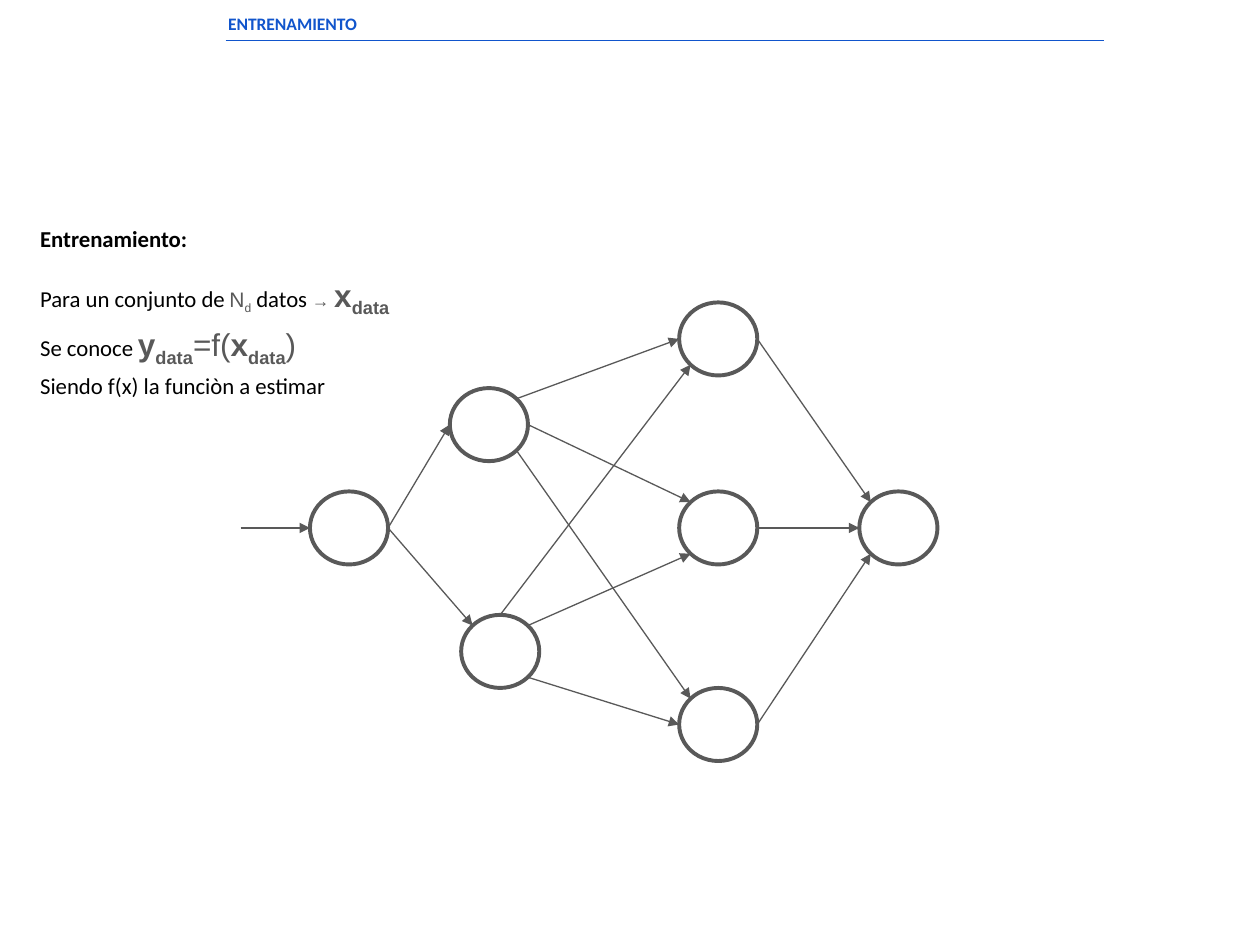
from dataclasses import dataclass
import math

import lxml.etree
import pptx
import pptx.dml.color
import pptx.enum.shapes
import pptx.enum.text
import pptx.oxml.ns
import pptx.util

Inches = pptx.util.Inches
Pt = pptx.util.Pt
RGBColor = pptx.dml.color.RGBColor
qn = pptx.oxml.ns.qn

BLACK = RGBColor(0x00, 0x00, 0x00)
GRAY = RGBColor(0x59, 0x59, 0x59)
BLUE = RGBColor(0x11, 0x55, 0xCC)

NODE_WIDTH, NODE_HEIGHT = 0.62, 0.58

# Where an arrow meets a node, in degrees clockwise from the right side
ANGLES = {"right": 0, "lower right": 45, "left": 180, "upper left": 225,
          "lower left": 135, "top": 270, "upper right": 315}


@dataclass(frozen=True)
class Neuron:
    left: float
    top: float

    def point(self, side: str) -> tuple[float, float]:
        angle = math.radians(ANGLES[side])
        return (self.left + NODE_WIDTH / 2 * (1 + math.cos(angle)),
                self.top + NODE_HEIGHT / 2 * (1 + math.sin(angle)))


@dataclass(frozen=True)
class Synapse:
    source: str
    source_side: str
    target: str
    target_side: str


@dataclass(frozen=True)
class Style:
    size: int
    name: str = "Arial"
    color: RGBColor = GRAY
    bold: bool = False
    subscript: bool = False


PROSE = Style(13, "Calibri", BLACK)
HEADING = Style(13, "Calibri", BLACK, bold=True)
TITLE = Style(10, "Calibri", BLUE, bold=True)
SMALL = Style(10)
COUNT = Style(12)
COUNT_INDEX = Style(12, subscript=True)
FORMULA = Style(18)
VECTOR = Style(18, bold=True)
VECTOR_INDEX = Style(18, bold=True, subscript=True)

NEURONS = {
    "input": Neuron(2.46, 3.9),
    "first upper": Neuron(3.57, 3.08),
    "first lower": Neuron(3.66, 4.88),
    "second upper": Neuron(5.39, 2.4),
    "second middle": Neuron(5.39, 3.9),
    "second lower": Neuron(5.39, 5.46),
    "output": Neuron(6.82, 3.9),
}

SYNAPSES = [
    Synapse("input", "right", "first upper", "left"),
    Synapse("input", "right", "first lower", "upper left"),
    Synapse("first upper", "upper right", "second upper", "left"),
    Synapse("first upper", "right", "second middle", "upper left"),
    Synapse("first upper", "lower right", "second lower", "upper left"),
    Synapse("first lower", "top", "second upper", "lower left"),
    Synapse("first lower", "upper right", "second middle", "lower left"),
    Synapse("first lower", "lower right", "second lower", "left"),
    Synapse("second upper", "right", "output", "upper left"),
    Synapse("second middle", "right", "output", "left"),
    Synapse("second lower", "right", "output", "lower left"),
]

EXPLANATION = [
    [("Entrenamiento:", HEADING)],
    [("Para un conjunto de", PROSE), (" ", SMALL), ("N", COUNT), ("d", COUNT_INDEX),
     (" ", SMALL), ("datos", PROSE), (" → ", SMALL), ("x", VECTOR),
     ("data", VECTOR_INDEX)],
    [("Se conoce", PROSE), (" ", SMALL), ("y", VECTOR), ("data", VECTOR_INDEX),
     ("=f(", FORMULA), ("x", VECTOR), ("data", VECTOR_INDEX), (")", FORMULA)],
    [("Siendo f(x) la funciòn a estimar", PROSE)],
]


def apply_style(font, style: Style) -> None:
    font.size = Pt(style.size)
    font.name = style.name
    font.bold = style.bold
    font.color.rgb = style.color


def set_insets(frame) -> None:
    frame.margin_left = frame.margin_right = Inches(0.1)
    frame.margin_top = frame.margin_bottom = Inches(0.1)
    frame.vertical_anchor = pptx.enum.text.MSO_ANCHOR.TOP
    frame.word_wrap = True


def draw_line(slide, start: tuple[float, float], end: tuple[float, float],
              color: RGBColor, arrow: bool = True) -> None:
    line = slide.shapes.add_connector(
        pptx.enum.shapes.MSO_CONNECTOR.STRAIGHT,
        *(Inches(value) for value in (*start, *end)))
    line.line.color.rgb = color
    line.line.width = Pt(0.75)
    if arrow:
        lxml.etree.SubElement(line.line._get_or_add_ln(), qn("a:tailEnd"), type="triangle")
    lxml.etree.SubElement(line._element.spPr, qn("a:effectLst"))


def draw_neuron(slide, neuron: Neuron) -> None:
    circle = slide.shapes.add_shape(
        pptx.enum.shapes.MSO_SHAPE.OVAL, Inches(neuron.left), Inches(neuron.top),
        Inches(NODE_WIDTH), Inches(NODE_HEIGHT))
    circle.shadow.inherit = False
    circle.fill.background()
    circle.line.color.rgb = GRAY
    circle.line.width = Pt(2.25)


def write_title(slide) -> None:
    title = slide.shapes.title
    title.left, title.top = Inches(1.71), Inches(0)
    title.width, title.height = Inches(6.89), Inches(0.39)
    frame = title.text_frame
    frame.text = "ENTRENAMIENTO"
    set_insets(frame)
    frame.auto_size = pptx.enum.text.MSO_AUTO_SIZE.NONE
    frame.paragraphs[0].alignment = pptx.enum.text.PP_ALIGN.LEFT
    apply_style(frame.paragraphs[0].font, TITLE)


def write_explanation(slide) -> None:
    frame = slide.shapes.add_textbox(
        Inches(0.22), Inches(1.68), Inches(3.92), Inches(1.32)).text_frame
    set_insets(frame)
    frame.auto_size = pptx.enum.text.MSO_AUTO_SIZE.SHAPE_TO_FIT_TEXT
    for index, pieces in enumerate(EXPLANATION):
        paragraph = frame.add_paragraph() if index else frame.paragraphs[0]
        if index:
            paragraph.line_spacing = 1.15
        if index == 1:
            paragraph.space_before = Pt(10)
        for text, style in pieces:
            run = paragraph.add_run()
            run.text = text
            apply_style(paragraph.font if len(pieces) == 1 else run.font, style)
            if style.subscript:
                run.font._element.set("baseline", "-25000")


def main() -> None:
    deck = pptx.Presentation()
    deck.slide_width, deck.slide_height = Inches(10), Inches(7.5)
    slide = deck.slides.add_slide(deck.slide_layouts[5])

    # Title and its rule
    write_title(slide)
    draw_line(slide, (1.79, 0.32), (8.76, 0.32), BLUE, arrow=False)

    # Neural network
    for neuron in NEURONS.values():
        draw_neuron(slide, neuron)
    for synapse in SYNAPSES:
        draw_line(slide, NEURONS[synapse.source].point(synapse.source_side),
                  NEURONS[synapse.target].point(synapse.target_side), GRAY)
    entry = NEURONS["input"].point("left")
    draw_line(slide, (1.91, entry[1]), entry, GRAY)

    # Explanation
    write_explanation(slide)
    deck.save("out.pptx")


if __name__ == "__main__":
    main()
